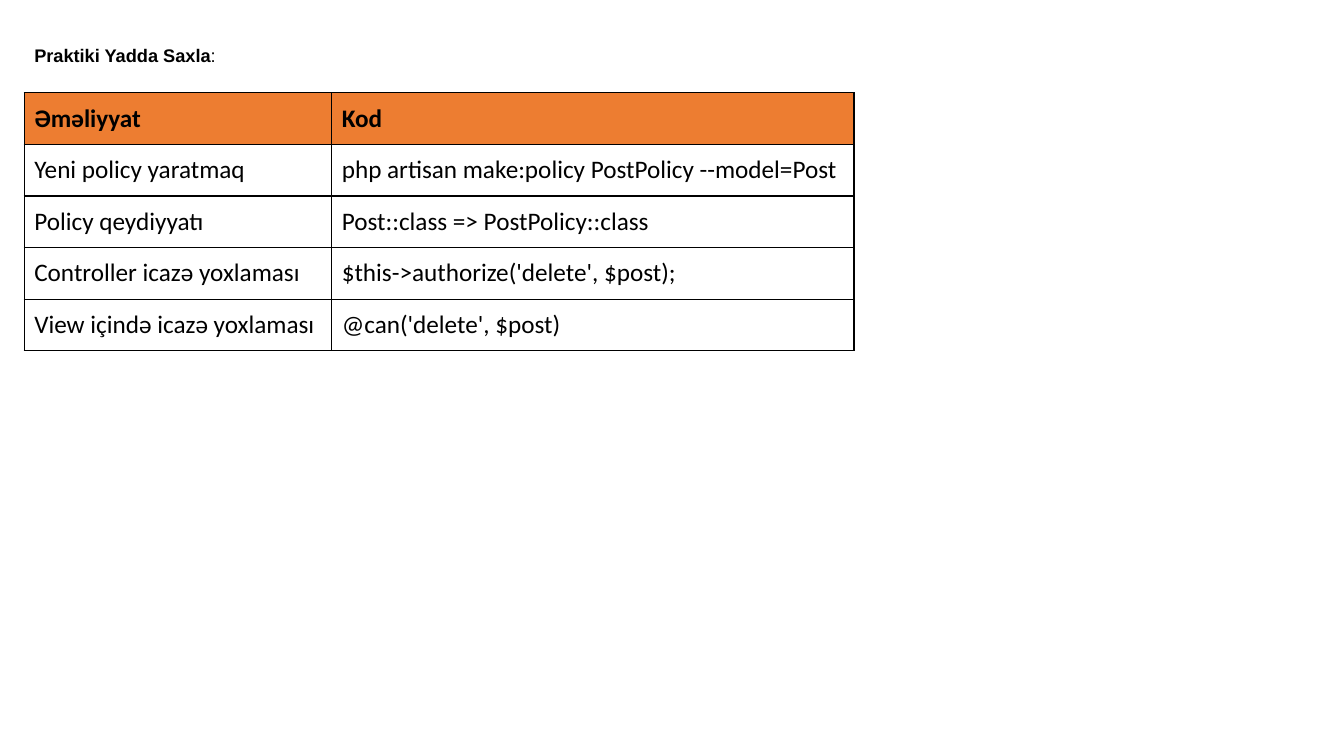
from lxml import etree
from pptx import Presentation
from pptx import util as u
from pptx.dml.color import RGBColor
from pptx.enum import text
from pptx.oxml import ns

HEADING = [("Praktiki Yadda Saxla", True), (":", False)]
COMMANDS = [
    ("Əməliyyat", "Kod"),
    ("Yeni policy yaratmaq", "php artisan make:policy PostPolicy --model=Post"),
    ("Policy qeydiyyatı", "Post::class => PostPolicy::class"),
    ("Controller icazə yoxlaması", "$this->authorize('delete', $post);"),
    ("View içində icazə yoxlaması", "@can('delete', $post)"),
]
BLACK, ORANGE = "000000", "ED7D31"
LEFT = 0.24
TABLE_TOP = 0.92
COLUMN_WIDTHS = (3.05, 5.18)
ROW_HEIGHT = 0.512


def color(value):
    return RGBColor.from_string(value)


def set_all(target, values):
    for name, value in values.items():
        setattr(target, name, value)


def style_run(run, face, size, bold):
    set_all(run.font, {"name": face, "size": u.Pt(size), "bold": bold})
    run.font.color.rgb = color(BLACK)


def add_borders(cell):
    properties = cell._tc.get_or_add_tcPr()
    for side in "LRTB":
        line = etree.SubElement(properties, ns.qn(f"a:ln{side}"), w=str(u.Pt(1)))
        fill = etree.SubElement(line, ns.qn("a:solidFill"))
        etree.SubElement(fill, ns.qn("a:srgbClr"), val=BLACK)


def add_heading(slide):
    title = slide.shapes.title
    set_all(title, {"left": u.Inches(LEFT), "top": u.Inches(0.28),
                    "width": u.Inches(12.86), "height": u.Inches(1.04)})
    set_all(title.text_frame, {"word_wrap": True,
                               "auto_size": text.MSO_AUTO_SIZE.NONE,
                               "vertical_anchor": text.MSO_ANCHOR.TOP})
    paragraph = title.text_frame.paragraphs[0]
    set_all(paragraph, {"alignment": text.PP_ALIGN.LEFT, "line_spacing": 1.5})
    for words, bold in HEADING:
        run = paragraph.add_run()
        run.text = words
        style_run(run, "Arial", 13, bold)


def add_commands(slide):
    table = slide.shapes.add_table(
        len(COMMANDS), len(COLUMN_WIDTHS), u.Inches(LEFT), u.Inches(TABLE_TOP),
        u.Inches(sum(COLUMN_WIDTHS)), u.Inches(ROW_HEIGHT * len(COMMANDS))).table
    set_all(table, {"first_row": False, "horz_banding": False})
    for column, width in zip(table.columns, COLUMN_WIDTHS):
        column.width = u.Inches(width)
    for r, row in enumerate(COMMANDS):
        for c, words in enumerate(row):
            cell = table.cell(r, c)
            cell.vertical_anchor = text.MSO_ANCHOR.MIDDLE
            add_borders(cell)
            if r == 0:
                cell.fill.solid()
                cell.fill.fore_color.rgb = color(ORANGE)
            else:
                cell.fill.background()
            run = cell.text_frame.paragraphs[0].add_run()
            run.text = words
            style_run(run, "Calibri", 18, r == 0)


def main():
    deck = Presentation()
    set_all(deck, {"slide_width": u.Inches(13.33), "slide_height": u.Inches(7.5)})
    slide = deck.slides.add_slide(deck.slide_layouts.get_by_name("Title Only"))
    add_heading(slide)
    add_commands(slide)
    deck.save("out.pptx")


if __name__ == "__main__":
    main()
